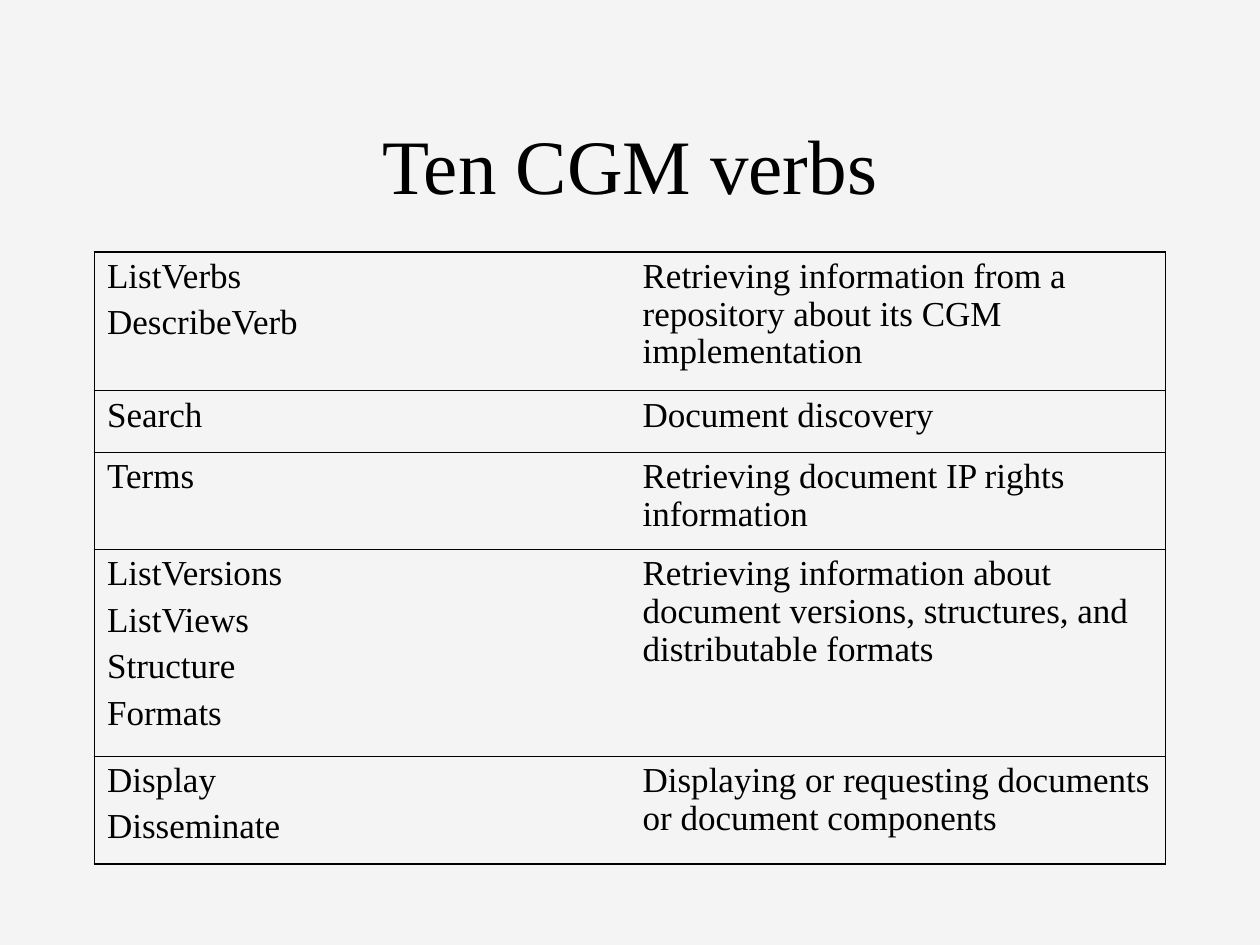
import lxml.etree
import pptx
import pptx.dml.color
import pptx.enum.text
import pptx.oxml.ns
import pptx.util
from pptx.util import Inches

COLORS = {"page": "F4F4F4", "ink": "000000"}
FONT = "Times New Roman"
OUTER_LINE, INNER_LINE = 1.08, 0.45
ROW_HEIGHTS = [1.1, 0.49, 0.77, 1.64, 0.86]
VERBS = [
    (["ListVerbs", "DescribeVerb"],
     "Retrieving information from a repository about its CGM implementation"),
    (["Search"], "Document discovery"),
    (["Terms"], "Retrieving document IP rights information"),
    (["ListVersions", "ListViews", "Structure", "Formats"],
     "Retrieving information about document versions, structures, and distributable formats"),
    (["Display", "Disseminate"],
     "Displaying or requesting documents or document components"),
]


def color(name):
    return pptx.dml.color.RGBColor.from_string(COLORS[name])


def style_paragraph(para, size):
    para.font.name = FONT
    para.font.size = pptx.util.Pt(size)
    para.font.color.rgb = color("ink")


def add_title(page, left, top, width, height):
    box = page.shapes.add_textbox(left, top, width, height)
    frame = box.text_frame
    frame.word_wrap = True
    frame.vertical_anchor = pptx.enum.text.MSO_ANCHOR.MIDDLE
    para = frame.paragraphs[0]
    para.text = "Ten CGM verbs"
    para.alignment = pptx.enum.text.PP_ALIGN.CENTER
    style_paragraph(para, 44)


def set_border(cell, side, width):
    qualify = pptx.oxml.ns.qn
    properties = cell._tc.get_or_add_tcPr()
    line = lxml.etree.SubElement(properties, qualify("a:ln" + side))
    if not width:
        lxml.etree.SubElement(line, qualify("a:noFill"))
        return
    line.set("w", str(int(pptx.util.Pt(width))))
    fill = lxml.etree.SubElement(line, qualify("a:solidFill"))
    lxml.etree.SubElement(fill, qualify("a:srgbClr"), val=COLORS["ink"])


def fill_cell(cell, lines):
    cell.margin_left = cell.margin_right = Inches(0.1)
    cell.margin_top = cell.margin_bottom = Inches(0.05)
    cell.text = "\n".join(lines)
    for index, para in enumerate(cell.text_frame.paragraphs):
        para.line_spacing = 0.97
        para.space_before = pptx.util.Pt(5 if index else 0)
        style_paragraph(para, 20)


def add_verb_table(page, left, top, width, height):
    frame = page.shapes.add_table(len(VERBS), 2, left, top, width, height)
    table = frame.table
    table.first_row = table.horz_banding = False
    last = len(VERBS) - 1
    for column in table.columns:
        column.width = width // 2
    for row, (verbs, purpose) in enumerate(VERBS):
        table.rows[row].height = Inches(ROW_HEIGHTS[row])
        for column, lines in enumerate((verbs, [purpose])):
            cell = table.cell(row, column)
            fill_cell(cell, lines)
            set_border(cell, "L", OUTER_LINE if column == 0 else 0)
            set_border(cell, "R", OUTER_LINE if column == 1 else 0)
            set_border(cell, "T", OUTER_LINE if row == 0 else INNER_LINE)
            set_border(cell, "B", OUTER_LINE if row == last else INNER_LINE)
            cell.fill.background()


def main():
    deck = pptx.Presentation()
    deck.slide_width, deck.slide_height = Inches(10), Inches(7.5)
    page = deck.slides.add_slide(deck.slide_layouts[6])
    page.background.fill.solid()
    page.background.fill.fore_color.rgb = color("page")
    add_title(page, Inches(0.75), Inches(0.67), Inches(8.5), Inches(1.25))
    add_verb_table(page, Inches(0.75), Inches(2), Inches(8.5), Inches(4.86))
    deck.save("out.pptx")


if __name__ == "__main__":
    main()
